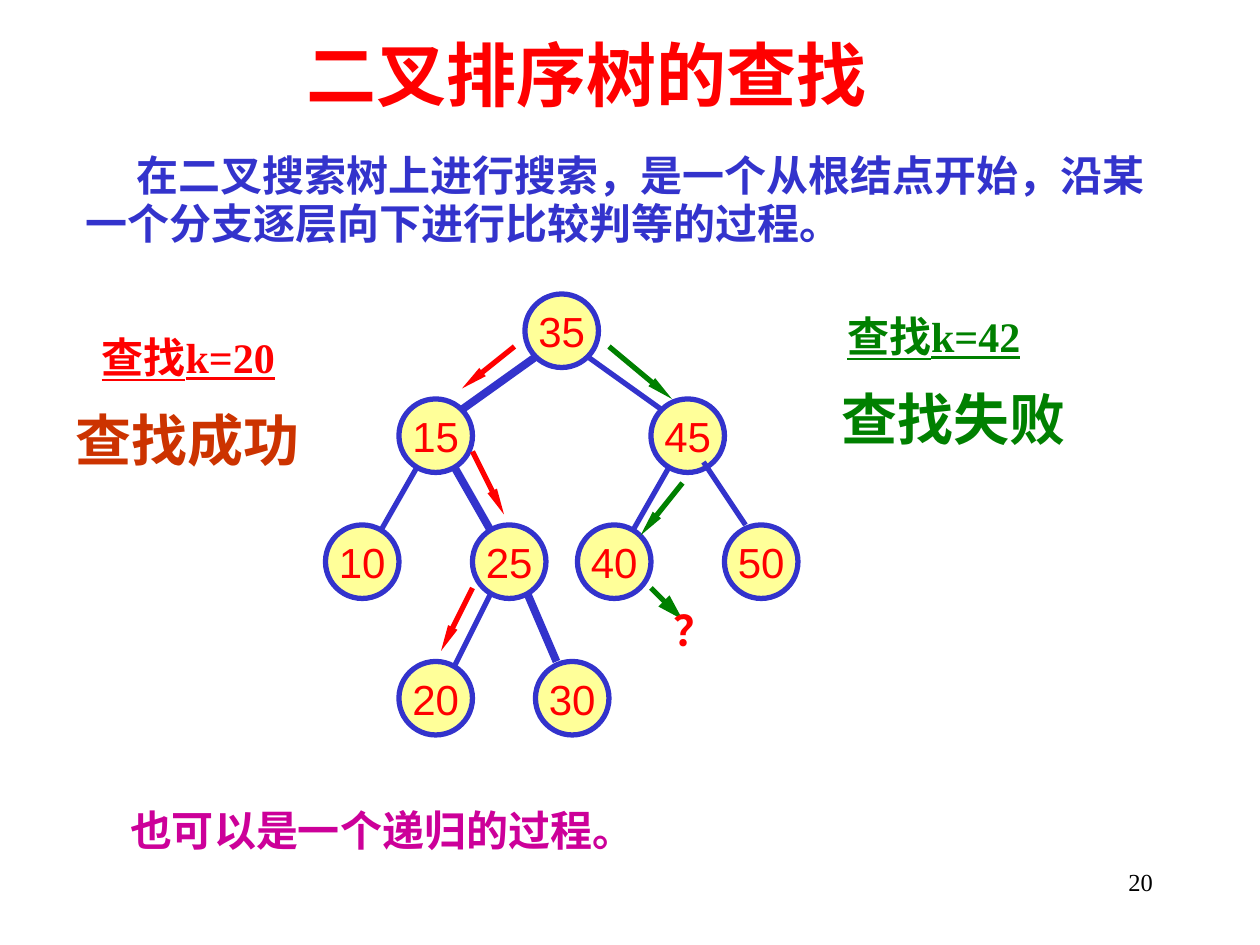
from lxml import etree
from pptx import Presentation, util as u
from pptx.dml.color import RGBColor
from pptx.enum import shapes, text
from pptx.oxml.ns import qn

CELL = u.Inches(1) / 12
COLUMNS, ROWS = 120, 90
NODE_SIZE = 7
SERIF, SANS = "Times New Roman", "Arial"
COLORS = {
    "blue": "3333CC",
    "red": "FF0000",
    "green": "008000",
    "brown": "CC3300",
    "magenta": "CC0099",
    "yellow": "FFFF99",
    "black": "000000",
}
NODES = {
    "35": (50, 28), "15": (38, 38), "45": (62, 38),
    "50": (69, 50), "40": (55, 50), "25": (45, 50),
    "10": (31, 50), "20": (38, 63), "30": (51, 63),
}
LOWER_EDGES = [
    (64, 44, 60, 51, 3),
    (50, 56, 53, 63, 4.5),
    (47, 56, 43, 64, 3),
    (40, 44, 36, 51, 3),
    (43, 44, 47, 51, 4.5),
]
UPPER_EDGES = [
    (51, 34, 44, 39, 4.5),
    (56, 34, 63, 39, 3),
    (67, 44, 71, 50, 3),
]
SEARCH_STEPS = [
    (49, 33, 44, 37, "red", "sm"),
    (45, 43, 48, 49, "red", "sm"),
    (45, 56, 42, 62, "red", "sm"),
    (58, 33, 64, 38, "green", "sm"),
    (65, 46, 61, 51, "green", "sm"),
    (62, 56, 65, 59, "green", "med"),
]


def grid(*values):
    return [round(value * CELL) for value in values]


def rgb(name):
    return RGBColor.from_string(COLORS[name])


def write(shape, words, size=24, color="black", font=SERIF, bold=True,
          underline=False, align=text.PP_ALIGN.LEFT, anchor=text.MSO_ANCHOR.TOP,
          wrap=True, indent=0, spacing=None):
    frame = shape.text_frame
    frame.auto_size = text.MSO_AUTO_SIZE.NONE
    frame.word_wrap = wrap
    frame.vertical_anchor = anchor
    paragraph = frame.paragraphs[0]
    paragraph.alignment = align
    if spacing:
        paragraph.line_spacing = spacing
    if indent:
        paragraph._p.get_or_add_pPr().set("indent", str(u.Inches(indent)))
    run = paragraph.add_run()
    run.text = words
    run.font.size = u.Pt(size)
    run.font.name = font
    run.font.bold = bold
    run.font.underline = underline
    run.font.color.rgb = rgb(color)


def add_label(slide, words, left, top, width, height, **style):
    write(slide.shapes.add_textbox(*grid(left, top, width, height)), words, **style)


def set_title(slide, words):
    title = slide.shapes.title
    title.left, title.top, title.width, title.height = grid(28, 3, 59, 8)
    write(title, words, size=40, color="red", anchor=text.MSO_ANCHOR.MIDDLE)


def add_line(slide, start_x, start_y, end_x, end_y, width=3, color="blue", head=None):
    line = slide.shapes.add_connector(
        shapes.MSO_CONNECTOR.STRAIGHT, *grid(start_x, start_y, end_x, end_y))
    line.line.color.rgb = rgb(color)
    line.line.width = u.Pt(width)
    if head:
        etree.SubElement(line.line._get_or_add_ln(), qn("a:tailEnd"),
                         type="triangle", w=head, len="lg")
    etree.SubElement(line._element.spPr, qn("a:effectLst"))


def add_node(slide, key, left, top):
    node = slide.shapes.add_shape(
        shapes.MSO_SHAPE.OVAL, *grid(left, top, NODE_SIZE, NODE_SIZE))
    node.shadow.inherit = False
    node.fill.solid()
    node.fill.fore_color.rgb = rgb("yellow")
    node.line.color.rgb = rgb("blue")
    node.line.width = u.Pt(3)
    write(node, key, color="red", font=SANS, bold=False, wrap=False,
          align=text.PP_ALIGN.CENTER, anchor=text.MSO_ANCHOR.MIDDLE)


def add_tree(slide):
    for *ends, width in LOWER_EDGES:
        add_line(slide, *ends, width=width)
    for key, (left, top) in NODES.items():
        add_node(slide, key, left, top)
    for *ends, width in UPPER_EDGES:
        add_line(slide, *ends, width=width)
    for *ends, color, head in SEARCH_STEPS:
        add_line(slide, *ends, color=color, head=head)


def main():
    presentation = Presentation()
    presentation.slide_width, presentation.slide_height = grid(COLUMNS, ROWS)
    slide = presentation.slides.add_slide(presentation.slide_layouts[5])
    set_title(slide, "二叉排序树的查找")
    add_label(slide, "在二叉搜索树上进行搜索，是一个从根结点开始，沿某一个分支逐层向下进行比较判等的过程。",
              7, 14, 106, 11, color="blue", indent=0.4, spacing=0.95)
    add_tree(slide)
    add_label(slide, "查找k=20", 8.5, 31, 21, 6, color="red", underline=True)
    add_label(slide, "查找成功", 6, 38, 24, 7.5, size=32, color="brown")
    add_label(slide, "查找k=42", 79.5, 29, 20, 6, color="green", underline=True)
    add_label(slide, "查找失败", 79, 36, 24, 7.5, size=32, color="green")
    add_label(slide, "？", 63, 57, 6.5, 6, color="red")
    add_label(slide, "也可以是一个递归的过程。", 11.2, 76, 51, 6, color="magenta")
    add_label(slide, "20", 86, 82, 25, 6, size=14, bold=False,
              align=text.PP_ALIGN.RIGHT)
    presentation.save("out.pptx")


if __name__ == "__main__":
    main()
